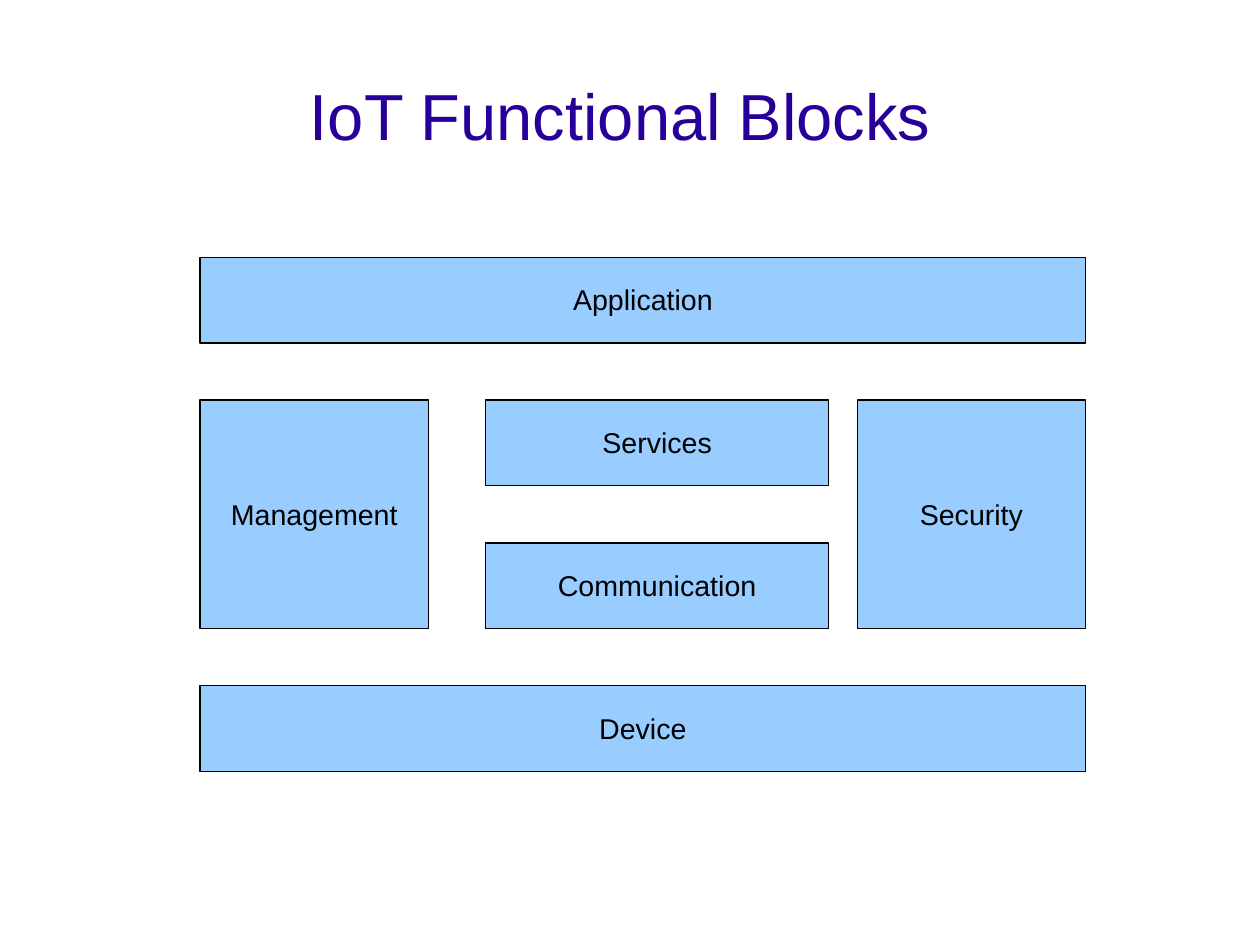
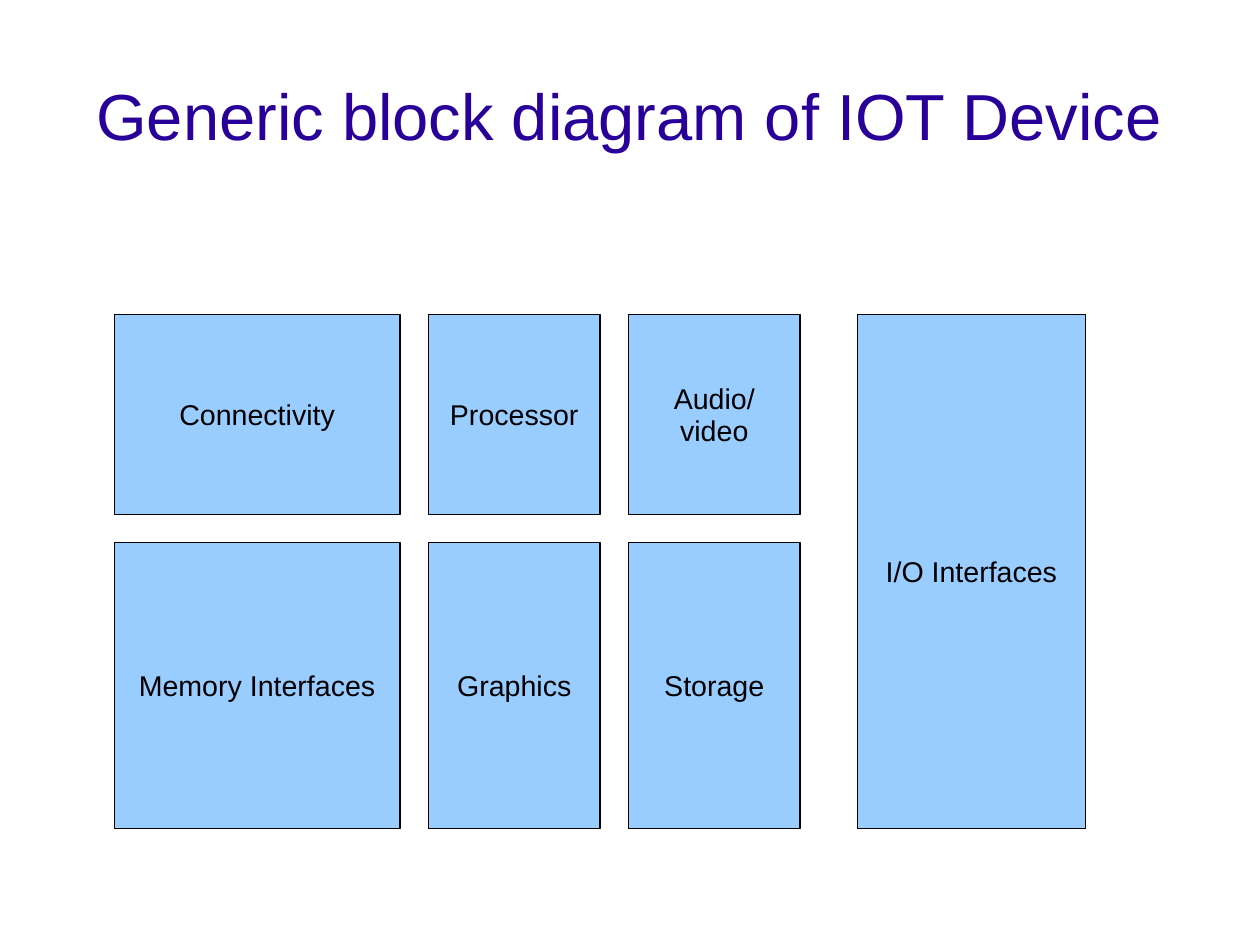
from pptx import Presentation
from pptx.dml.color import RGBColor
from pptx.enum.shapes import MSO_SHAPE
from pptx.enum.text import MSO_ANCHOR, PP_ALIGN
from pptx.util import Emu, Pt

ROUNDED_RECTANGLE = MSO_SHAPE.ROUNDED_RECTANGLE
MIDDLE = MSO_ANCHOR.MIDDLE
CENTER = PP_ALIGN.CENTER

PX = 9144  # 100 px to the inch
SLIDE_WIDTH, SLIDE_HEIGHT = Pt(793.75), Pt(595.25)  # 28 by 21 cm page
FONT = "Arial"
TITLE_COLOR = "280099"
BLOCK_FILL = "99CCFF"
BLACK = "000000"
TITLE_BOX = (55, 33, 992, 138)
TITLE_INSETS = (0, 4, 0, 0)
BLOCK_INSETS = (10, 7, 10, 5)


def color(value):
    return RGBColor.from_string(value)


def write_text(shape, text, size, text_color, insets):
    """Put one centred paragraph in the middle of the shape."""
    frame = shape.text_frame
    frame.word_wrap = True
    frame.vertical_anchor = MIDDLE
    (frame.margin_left, frame.margin_top,
     frame.margin_right, frame.margin_bottom) = [Emu(inset * PX) for inset in insets]
    paragraph = frame.paragraphs[0]
    paragraph.alignment = CENTER
    paragraph.line_spacing = 0.93
    run = paragraph.add_run()
    run.text = text
    run.font.name = FONT
    run.font.size = Pt(size)
    run.font.color.rgb = color(text_color)


# Functional blocks: full-width layers around a row of three columns
left, full_width = 175, 775
bar_height, layer_pitch = 75, 125
layer_tops = [225 + layer_pitch * layer for layer in range(4)]
side_width = 200
side_height = layer_pitch + bar_height
center_left, center_width = 425, 300
functional_blocks = [
    ("Device", left, layer_tops[3], full_width, bar_height),
    ("Application", left, layer_tops[0], full_width, bar_height),
    ("Management", left, layer_tops[1], side_width, side_height),
    ("Security", left + full_width - side_width, layer_tops[1], side_width, side_height),
    ("Services", center_left, layer_tops[1], center_width, bar_height),
    ("Communication", center_left, layer_tops[2], center_width, bar_height),
]

# Device blocks: three columns of two, with one tall block at the right
gap = 25
grid_top, upper_height, lower_height = 275, 175, 250
lower_top = grid_top + upper_height + gap
device_blocks = []
column_left = 100
for upper, lower, width in [
    ("Connectivity", "Memory Interfaces", 250),
    ("Processor", "Graphics", 150),
    ("Audio/video", "Storage", 150),
]:
    device_blocks.append((upper, column_left, grid_top, width, upper_height))
    device_blocks.append((lower, column_left, lower_top, width, lower_height))
    column_left += width + gap
device_blocks.append(
    ("I/O Interfaces", column_left + gap, grid_top, 200, upper_height + gap + lower_height)
)

presentation = Presentation()
presentation.slide_width = SLIDE_WIDTH
presentation.slide_height = SLIDE_HEIGHT
blank_layout = presentation.slide_layouts[6]

for title, blocks in [
    ("IoT Functional Blocks ", functional_blocks),
    ("Generic block diagram of IOT Device", device_blocks),
]:
    slide = presentation.slides.add_slide(blank_layout)
    title_box = slide.shapes.add_textbox(*[Emu(length * PX) for length in TITLE_BOX])
    write_text(title_box, title, 41, TITLE_COLOR, TITLE_INSETS)
    for label, *box in blocks:
        block = slide.shapes.add_shape(
            ROUNDED_RECTANGLE, *[Emu(length * PX) for length in box]
        )
        block.adjustments[0] = 0
        block.shadow.inherit = False
        block.fill.solid()
        block.fill.fore_color.rgb = color(BLOCK_FILL)
        block.line.color.rgb = color(BLACK)
        block.line.width = Pt(0.75)
        write_text(block, label, 18, BLACK, BLOCK_INSETS)

presentation.save("out.pptx")
